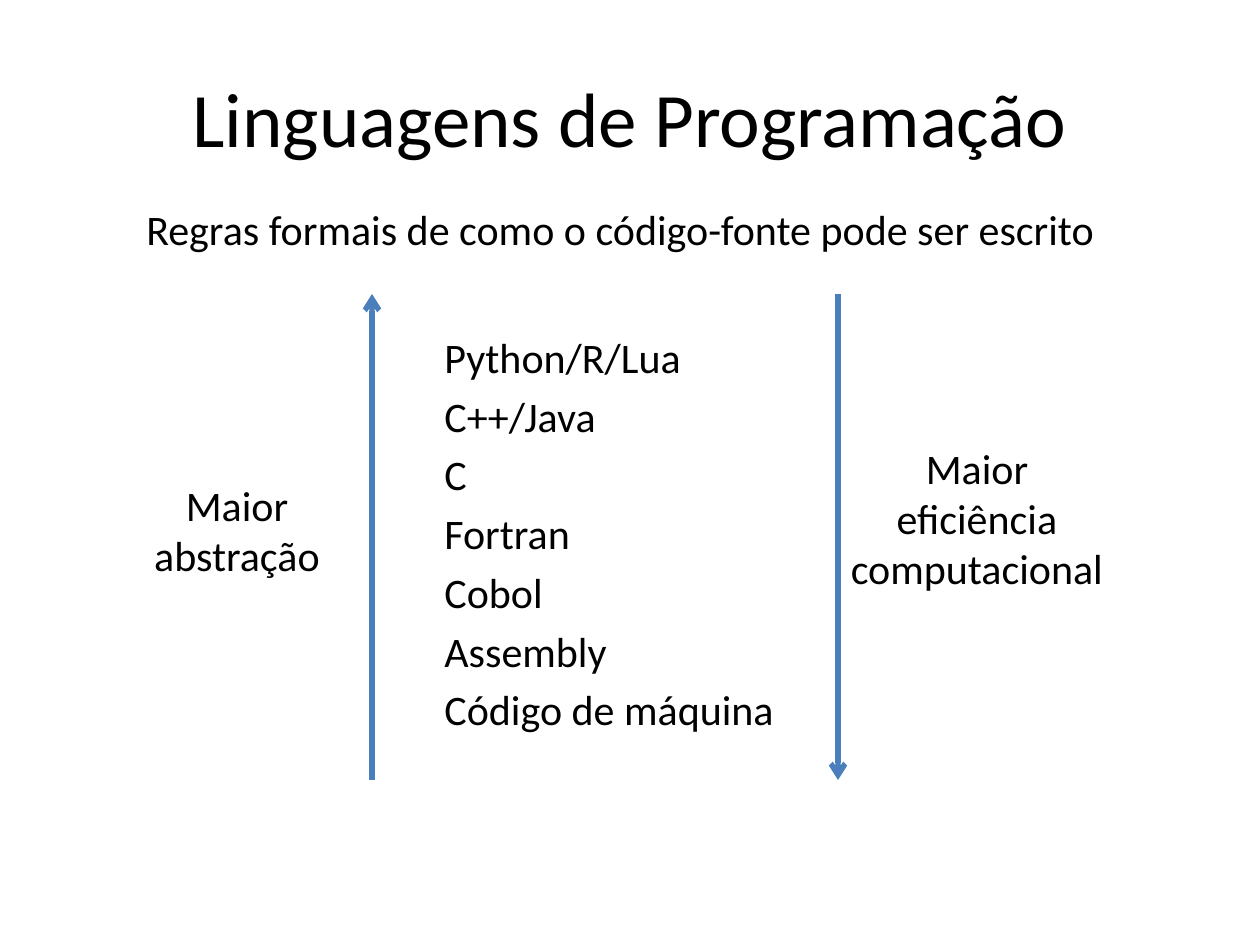
from dataclasses import dataclass

from lxml.etree import SubElement
from pptx import Presentation
from pptx.dml.color import RGBColor
from pptx.enum.shapes import MSO_CONNECTOR
from pptx.enum.text import MSO_ANCHOR, PP_ALIGN
from pptx.oxml.ns import qn
from pptx.slide import Slide
from pptx.util import Emu, Pt


@dataclass(frozen=True)
class Theme:
    font: str = "Calibri"
    ink: RGBColor = RGBColor(0x00, 0x00, 0x00)
    arrow: RGBColor = RGBColor(0x4B, 0x7E, 0xBC)
    title_size: int = 44
    body_size: int = 24
    arrow_width: int = 3


@dataclass(frozen=True)
class Box:
    left: int
    top: int
    width: int
    height: int


@dataclass(frozen=True)
class Direction:
    x: int
    start: int
    end: int
    label: str
    label_box: Box


THEME = Theme()
EMU_PER_INCH = 914400
PX_PER_INCH = 126
SCALE_TOP, SCALE_BOTTOM = 294, 780

LANGUAGES = """Python/R/Lua
C++/Java
C
Fortran
Cobol
Assembly
Código de máquina"""

DIRECTIONS = [
    Direction(372, SCALE_BOTTOM, SCALE_TOP, "Maior abstração", Box(123, 473, 228, 115)),
    Direction(838, SCALE_TOP, SCALE_BOTTOM, "Maior eficiência\ncomputacional",
              Box(838, 436, 278, 165)),
]


def px(length: int) -> Emu:
    return Emu(round(length * EMU_PER_INCH / PX_PER_INCH))


def add_text(slide: Slide, text: str, box: Box, *, size: int = THEME.body_size,
             align: PP_ALIGN = PP_ALIGN.LEFT, anchor: MSO_ANCHOR = MSO_ANCHOR.TOP,
             space_before: float = 0) -> None:
    frame = slide.shapes.add_textbox(
        px(box.left), px(box.top), px(box.width), px(box.height)).text_frame
    frame.word_wrap = True
    frame.vertical_anchor = anchor
    frame.text = text
    for paragraph in frame.paragraphs:
        paragraph.alignment = align
        paragraph.space_before = Pt(space_before)
        for run in paragraph.runs:
            run.font.name = THEME.font
            run.font.size = Pt(size)
            run.font.color.rgb = THEME.ink


def add_direction(slide: Slide, direction: Direction) -> None:
    arrow = slide.shapes.add_connector(
        MSO_CONNECTOR.STRAIGHT, px(direction.x), px(direction.start),
        px(direction.x), px(direction.end))
    arrow.line.color.rgb = THEME.arrow
    arrow.line.width = Pt(THEME.arrow_width)
    SubElement(arrow.line._get_or_add_ln(), qn("a:tailEnd"), type="arrow")
    SubElement(arrow._element.spPr, qn("a:effectLst"))
    add_text(slide, direction.label, direction.label_box, align=PP_ALIGN.CENTER)


def main() -> None:
    presentation = Presentation()
    presentation.slide_width, presentation.slide_height = px(1260), px(945)
    slide = presentation.slides.add_slide(presentation.slide_layouts[6])

    add_text(slide, "Linguagens de Programação", Box(63, 38, 1134, 158),
             size=THEME.title_size, align=PP_ALIGN.CENTER, anchor=MSO_ANCHOR.MIDDLE)
    add_text(slide, "Regras formais de como o código-fonte pode ser escrito",
             Box(134, 197, 1111, 63), space_before=5)
    add_text(slide, LANGUAGES, Box(432, 325, 377, 475),
             space_before=0.2 * THEME.body_size)
    for direction in DIRECTIONS:
        add_direction(slide, direction)

    presentation.save("out.pptx")


if __name__ == "__main__":
    main()
